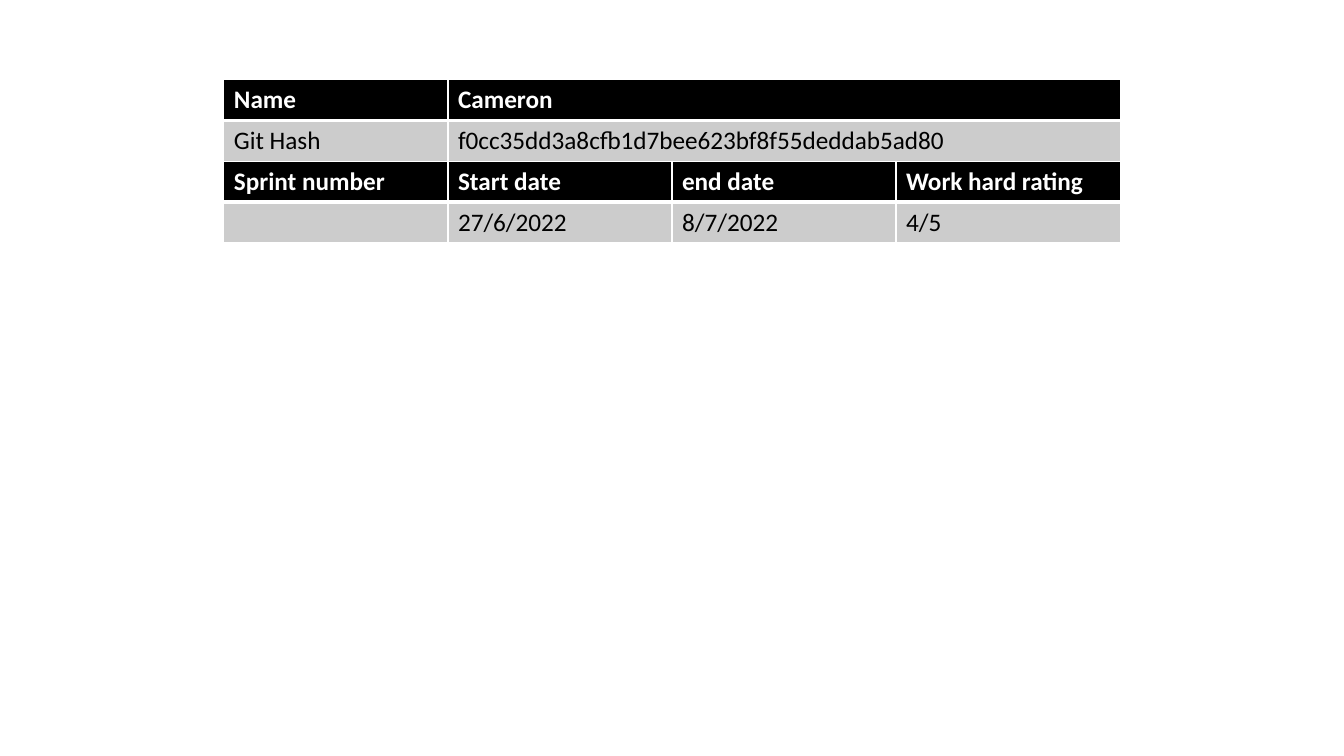
from pptx import Presentation
from pptx import util as u
from pptx.dml.color import RGBColor
from pptx.oxml.ns import qn
from lxml import etree

BLACK = RGBColor(0x00, 0x00, 0x00)
WHITE = RGBColor(0xFF, 0xFF, 0xFF)
GREY = RGBColor(0xCC, 0xCC, 0xCC)

COL = 8.89 / 4
ROW = 0.405
HEAD = {"size": u.Pt(18), "name": "Calibri", "bold": True}
BODY = {**HEAD, "bold": False}


def edge(cell, side, width):
    """Draw one white border of a cell."""
    line = etree.SubElement(cell._tc.get_or_add_tcPr(), qn("a:ln" + side),
                            w=str(u.Pt(width)))
    fill = etree.SubElement(line, qn("a:solidFill"))
    etree.SubElement(fill, qn("a:srgbClr"), val=str(WHITE))


def style(cell, words, head):
    """Fill in and format one cell."""
    # A thick rule parts the heading from the row below
    thick = "B" if head else "T"
    for side in "LRTB":
        edge(cell, side, 3 if side == thick else 1)
    cell.fill.solid()
    cell.fill.fore_color.rgb = BLACK if head else GREY
    cell.text = words
    font = cell.text_frame.paragraphs[0].font
    for key, value in (HEAD if head else BODY).items():
        setattr(font, key, value)
    font.color.rgb = WHITE if head else BLACK


def grid(slide, left, top, widths, rows):
    """Place a table with one heading row."""
    table = slide.shapes.add_table(
        len(rows), len(widths), u.Inches(left), u.Inches(top),
        u.Inches(sum(widths)), u.Inches(ROW * len(rows))).table
    for col, width in zip(table.columns, widths):
        col.width = u.Inches(width)
    for r, row in enumerate(rows):
        for c, words in enumerate(row):
            style(table.cell(r, c), words, r == 0)


def main():
    deck = Presentation()
    deck.slide_width = u.Inches(13.33)
    deck.slide_height = u.Inches(7.5)
    slide = deck.slides.add_slide(deck.slide_layouts[6])

    left, top = 2.22, 0.79
    # Author and commit
    grid(slide, left, top, [COL, 3 * COL], [
        ["Name", "Cameron"],
        ["Git Hash", "f0cc35dd3a8cfb1d7bee623bf8f55deddab5ad80"],
    ])
    # Sprint details, right below
    grid(slide, left, top + 2 * ROW, [COL] * 4, [
        ["Sprint number", "Start date", "end date", "Work hard rating"],
        ["", "27/6/2022", "8/7/2022", "4/5"],
    ])
    deck.save("out.pptx")


if __name__ == "__main__":
    main()
